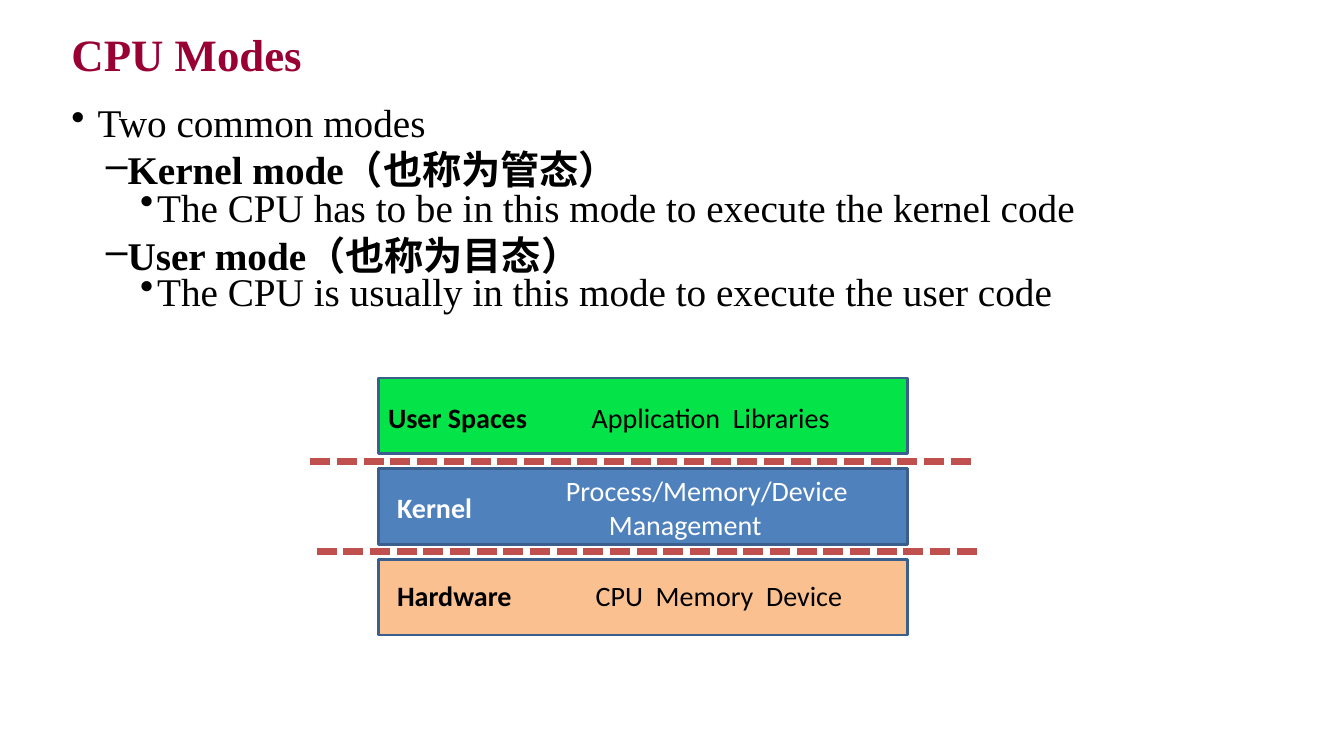
from lxml import etree
from pptx import Presentation
from pptx.dml.color import RGBColor
from pptx.enum.dml import MSO_LINE
from pptx.enum.shapes import MSO_CONNECTOR, MSO_SHAPE
from pptx.enum.text import MSO_ANCHOR, MSO_AUTO_SIZE, PP_ALIGN
from pptx.oxml.ns import qn
from pptx.util import Inches, Pt

CRIMSON = RGBColor(0x99, 0x00, 0x33)
BLACK = RGBColor(0x00, 0x00, 0x00)
WHITE = RGBColor(0xFF, 0xFF, 0xFF)
GREEN = RGBColor(0x04, 0xE4, 0x48)
BLUE = RGBColor(0x4F, 0x81, 0xBD)
PEACH = RGBColor(0xFA, 0xC0, 0x90)
OUTLINE = RGBColor(0x3A, 0x5F, 0x8C)
RED = RGBColor(0xC0, 0x50, 0x4D)

LEFT, CENTER = PP_ALIGN.LEFT, PP_ALIGN.CENTER
TOP, MIDDLE = MSO_ANCHOR.TOP, MSO_ANCHOR.MIDDLE
GROW, FIXED = MSO_AUTO_SIZE.SHAPE_TO_FIT_TEXT, MSO_AUTO_SIZE.NONE
RECTANGLE, STRAIGHT = MSO_SHAPE.RECTANGLE, MSO_CONNECTOR.STRAIGHT
DASH = MSO_LINE.SQUARE_DOT

SERIF, SANS = "Times New Roman", "Calibri"
STEP = 0.15  # grid step in inches: the slide is 50 rows high


def grid(*cells):
    """Turn columns or rows into lengths."""
    return [Inches(cell * STEP) for cell in cells]


def write(p, text, font=SANS, size=20, color=BLACK, bold=False, align=LEFT,
          margin=0, indent=0, bullet=None):
    """Fill a paragraph with one formatted run; margin and indent in inches."""
    p.alignment = align
    if margin or indent:
        pPr = p._p.get_or_add_pPr()
        pPr.set("marL", str(Inches(margin)))
        pPr.set("indent", str(Inches(indent)))
        if bullet:
            etree.SubElement(pPr, qn("a:buChar")).set("char", bullet)
    r = p.add_run()
    r.text = text
    r.font.name, r.font.size = font, Pt(size)
    r.font.color.rgb, r.font.bold = color, bold


class Deck:
    def __init__(self):
        self.prs = Presentation()
        self.prs.slide_width, self.prs.slide_height = Inches(13.33), Inches(7.5)
        self.s = self.prs.slides.add_slide(self.prs.slide_layouts[6])

    def box(self, x, y, w, h, wrap=True, anchor=TOP, auto_size=FIXED):
        tf = self.s.shapes.add_textbox(*grid(x, y, w, h)).text_frame
        tf.word_wrap, tf.vertical_anchor, tf.auto_size = wrap, anchor, auto_size
        return tf

    def label(self, x, y, w, text, h=2.93, wrap=False, **style):
        tf = self.box(x, y, w, h, wrap, auto_size=GROW)
        write(tf.paragraphs[0], text, **style)

    def outline(self, x, y, w, h, items):
        tf = self.box(x, y, w, h)
        levels = [("•", 0.26, -0.26), ("–", 0.55, -0.21), ("•", 0.85, -0.17)]
        for i, (level, spacing, text) in enumerate(items):
            p = tf.add_paragraph() if i else tf.paragraphs[0]
            p.level, p.line_spacing = level, Pt(spacing)
            p.space_before = Pt(0.7 if i else 0)
            bullet, margin, indent = levels[level]
            write(p, text, font=SERIF, size=28, bold=level == 1,
                  margin=margin, indent=indent, bullet=bullet)

    def layer(self, x, y, w, h, fill):
        sp = self.s.shapes.add_shape(RECTANGLE, *grid(x, y, w, h))
        sp.shadow.inherit = False
        sp.fill.solid()
        sp.fill.fore_color.rgb = fill
        sp.line.color.rgb, sp.line.width = OUTLINE, Pt(2)

    def boundary(self, x1, x2, y):
        line = self.s.shapes.add_connector(STRAIGHT, *grid(x1, y, x2, y))
        line.line.color.rgb, line.line.width = RED, Pt(4.75)
        line.line.dash_style = DASH
        etree.SubElement(line._element.spPr, qn("a:effectLst"))


def main():
    deck = Deck()

    # Title
    title = deck.box(4.07, 1.8, 81.13, 3.47, anchor=MIDDLE)
    write(title.paragraphs[0], "CPU Modes", font=SERIF, size=32,
          color=CRIMSON, bold=True)

    # Bullets: level, line spacing, text
    deck.outline(4.07, 5.87, 81.13, 38.67, [
        (0, 37, "Two common modes"),
        (1, 33, "Kernel mode（也称为管态）"),
        (2, 26, "The CPU has to be in this mode to execute the kernel code"),
        (1, 34, "User mode（也称为目态）"),
        (2, 25, "The CPU is usually in this mode to execute the user code"),
    ])

    # System layers
    for i, fill in enumerate([GREEN, BLUE, PEACH]):
        deck.layer(25, 25 + 6 * i, 35, 5, fill)

    # Layer names and contents
    deck.label(25, 26.13, 12.47, "User Spaces", bold=True)
    deck.label(38.47, 26.13, 18.53, "Application  Libraries")
    deck.label(25.6, 32.13, 7.6, "Kernel", color=WHITE, bold=True)
    deck.label(32.27, 31, 26.07, "Process/Memory/Device Management", h=5.13,
               wrap=True, color=WHITE, align=CENTER, indent=0.43)
    deck.label(25.6, 37.93, 9.8, "Hardware", bold=True)
    deck.label(36.8, 37.93, 20.67, "CPU  Memory  Device", align=CENTER,
               indent=0.12)

    # Boundaries between layers
    deck.boundary(20.53, 64.47, 30.53)
    deck.boundary(20.93, 64.8, 36.47)

    deck.prs.save("out.pptx")


if __name__ == "__main__":
    main()
